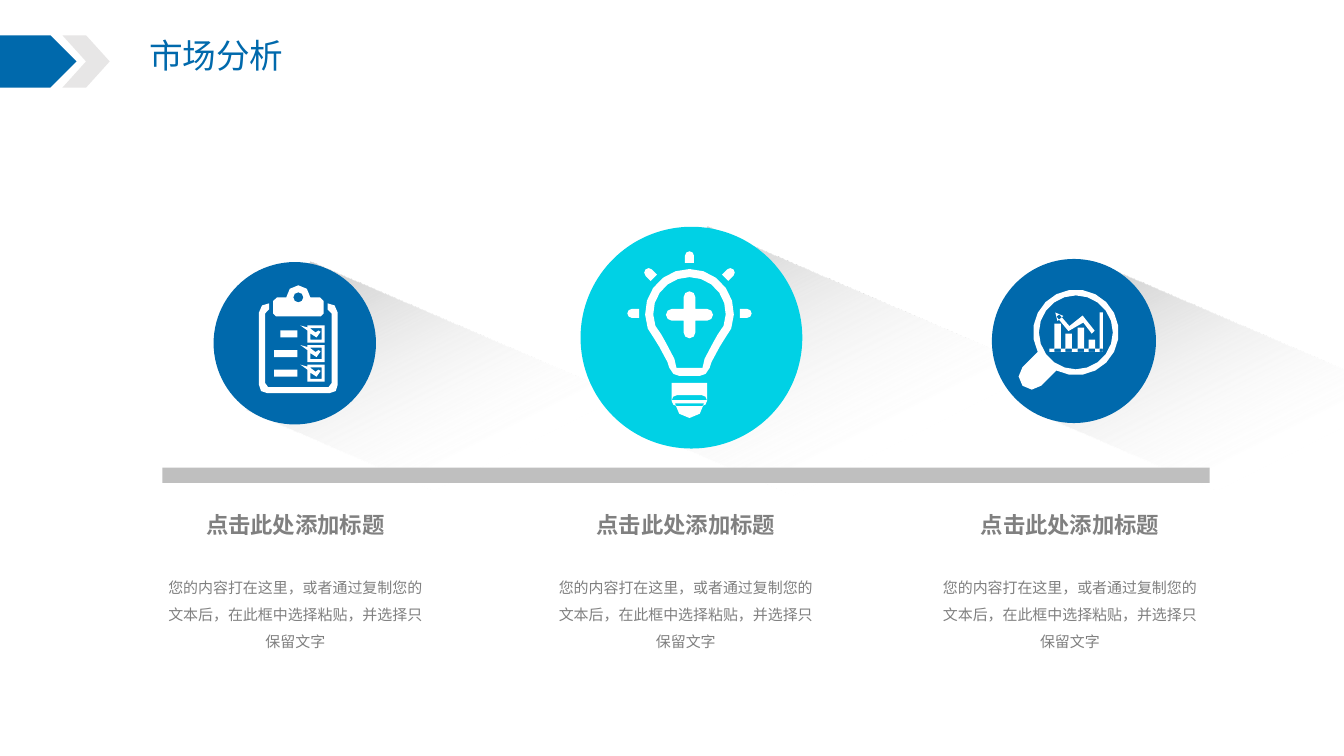
import math
import pptx
import pptx.dml.color
import pptx.enum.shapes
import pptx.enum.text
import pptx.oxml
import pptx.oxml.ns
import pptx.util

Pt = pptx.util.Pt
RGB = pptx.dml.color.RGBColor
SHAPES = pptx.enum.shapes.MSO_SHAPE
ALIGN = pptx.enum.text.PP_ALIGN
BLUE = RGB(0x00, 0x69, 0xAC)
CYAN = RGB(0x00, 0xD1, 0xE5)
WHITE = RGB(0xFF, 0xFF, 0xFF)
SILVER = RGB(0xBF, 0xBF, 0xBF)
PALE = RGB(0xE7, 0xE6, 0xE6)
GRAY = RGB(0x80, 0x80, 0x80)
FONT = "Noto Sans CJK SC"

TITLE = "市场分析"
HEADING = "点击此处添加标题"
BODY = "您的内容打在这里，或者通过复制您的文本后，在此框中选择粘贴，并选择只保留文字"

SHADOWS = [(743.8, 251.3, 115.2), (460.8, 224.6, 151.9), (185, 251.3, 115.2)]
DISCS = [(152.6, 187.2, 116, BLUE), (414.7, 162, 158.4, CYAN), (708.5, 185, 117.2, BLUE)]
COLUMN_CENTERS = [211, 489.9, 764.3]

CLIPBOARD_FRAME = [
    (234, 216.7), (239, 218.2), (241.2, 223.2), (241.2, 275), (239.8, 279.4),
    (235.4, 280.8), (190.8, 280.8), (186.5, 279.4), (185, 275), (185, 223.2),
    (187.2, 218.2), (192.2, 216.7), (192.2, 221), (189.4, 223.9), (189.4, 273.6),
    (191.5, 276.5), (234.7, 276.5), (236.9, 273.6), (236.9, 223.9), (234, 221)]
CLIP_BASE = [(228.5, 212.4), (231.1, 215), (231.1, 224), (229, 226.1),
             (197.3, 226.1), (195.1, 224), (195.1, 215), (198, 212.4)]
CHECKLIST = [(232.5, 200.2), (246.5, 195.8), (260.5, 195.8)]
TICK = [(221.8, 5.8), (226.1, 8.6), (229, 4.5), (227.5, 3.6), (225.4, 5), (221.8, 2.3)]
FLICK = [(219.6, 3.6), (219.6, 1.4), (214.6, 0)]

BULB_CENTER = (492.5, 223.9)
GLASS_OUTER = [(25.2, 18), (21.6, 23.8), (15.8, 34.6), (14.4, 38.9), (11.5, 43.2), (7.2, 44.7)]
GLASS_INNER = [(20.1, 15.1), (16.5, 21.6), (10.8, 32.4), (9.3, 38.9)]
RAY_ANGLES = [-180, -135, -90, -45, 0]

LENS = (768.5, 237.4)
BARS = [(753.1, 231.1), (761, 238.3), (769.7, 234), (777.6, 242.6)]
BARS_BOTTOM = 251.3
TREND = [(754.6, 226.1), (756.7, 224.6), (763.9, 232.9), (773.3, 225.4),
         (781.9, 236.2), (779.8, 238.3), (773.8, 230.4), (763.2, 236.5)]
NIB = [(753.8, 223.2), (759.6, 225.7), (755.3, 229.3)]


def arc(x, y, radius, start, end):
    steps = round((end - start) / (18 if radius > 20 else 45))
    angles = [math.radians(start + (end - start) * i / steps) for i in range(steps + 1)]
    return [(x + radius * math.cos(a), y + radius * math.sin(a)) for a in angles]


def box(x, y, w, h):
    return [(x, y), (x + w, y), (x + w, y + h), (x, y + h)]


def glass(radius, side):
    x, y = BULB_CENTER
    right = [(x + dx, y + dy) for dx, dy in side]
    left = [(x - dx, y + dy) for dx, dy in reversed(side)]
    return arc(x, y, radius, 160, 380) + right + left


def ray(angle, inner=36, outer=44.4, radius=3.2):
    x, y = BULB_CENTER
    a = math.radians(angle)
    cos, sin = math.cos(a), math.sin(a)
    reach = outer - radius
    base = [(x + inner * cos - s * radius * sin, y + inner * sin + s * radius * cos)
            for s in (1, -1)]
    return base + arc(x + reach * cos, y + reach * sin, radius, angle - 90, angle + 90)


def plus(x, y, reach=12.6, radius=4.2):
    outline = []
    for angle in (0, 90, 180, 270):
        a = math.radians(angle)
        outline += arc(x + reach * math.cos(a), y + reach * math.sin(a), radius,
                       angle - 90, angle + 90)
        corner = math.radians(angle + 45)
        diagonal = radius * math.sqrt(2)
        outline.append((x + diagonal * math.cos(corner), y + diagonal * math.sin(corner)))
    return outline


def clipboard():
    hump = (213.1, 212.4)
    contours = [CLIPBOARD_FRAME, arc(*hump, 8.6, 180, 360) + CLIP_BASE, arc(*hump, 3.6, 0, 360)]
    for top, dash_left in CHECKLIST:
        contours += [box(dash_left, top + 3.6, 212.4 - dash_left, 5),
                     box(219.6, top, 12.2, 12.2), box(221.8, top + 1.9, 7.9, 8.2)]
        contours += [[(x, top + y) for x, y in mark] for mark in (TICK, FLICK)]
    return contours


def bulb():
    x, y = BULB_CENTER
    band = arc(x + 8.6, 286.2, 4, -90, 90) + arc(x - 8.8, 286.2, 4, 90, 270)
    return [glass(31.7, GLASS_OUTER), glass(25.9, GLASS_INNER), plus(x, y + 1),
            box(x - 12.8, 273.6, 25.4, 12.2), band,
            arc(x, 288.2, 10.4, 0, 180)] + [ray(angle) for angle in RAY_ANGLES]


def magnifier():
    body = arc(*LENS, 30.6, 153, 477) + arc(737, 268.9, 9.4, 45, 225)
    bars = [box(x, top, 4.7, BARS_BOTTOM - top) for x, top in BARS]
    return [body, arc(*LENS, 26.4, 0, 360), TREND, NIB,
            box(785.5, 223.2, 2.2, 28.1), box(749.5, 249.1, 38.2, 2.2)] + bars


deck = pptx.Presentation()
deck.slide_width, deck.slide_height = Pt(960), Pt(540)
slide = deck.slides.add_slide(deck.slide_layouts[6])


def paint(shape, color):
    shape.shadow.inherit = False
    shape.fill.solid()
    shape.fill.fore_color.rgb = color
    shape.line.fill.background()


def add_shape(kind, x, y, w, h, color):
    shape = slide.shapes.add_shape(kind, Pt(x), Pt(y), Pt(w), Pt(h))
    paint(shape, color)
    return shape


def add_icon(contours):
    units = [[(x * 100, y * 100) for x, y in contour] for contour in contours]
    builder = slide.shapes.build_freeform(*units[0][0], scale=Pt(1) / 100)
    builder.add_line_segments(units[0][1:], close=True)
    for contour in units[1:]:
        builder.move_to(*contour[0])
        builder.add_line_segments(contour[1:], close=True)
    paint(builder.convert_to_shape(), WHITE)


def add_text(text, x, y, w, h, size, color, align=ALIGN.CENTER, wrap=True, bold=False, spacing=None):
    frame = slide.shapes.add_textbox(Pt(x), Pt(y), Pt(w), Pt(h)).text_frame
    frame.text = text
    frame.word_wrap = wrap
    frame.auto_size = pptx.enum.text.MSO_AUTO_SIZE.SHAPE_TO_FIT_TEXT
    paragraph = frame.paragraphs[0]
    paragraph.alignment = align
    paragraph.line_spacing = spacing
    font = paragraph.runs[0].font
    font.size, font.bold, font.name = Pt(size), bold, FONT
    font.color.rgb = color
    east_asian = pptx.oxml.parse_xml(
        f'<a:ea {pptx.oxml.ns.nsdecls("a")} typeface="{FONT}"/>')
    font._element.find(pptx.oxml.ns.qn("a:latin")).addnext(east_asian)


def add_long_shadow(x, y, h):
    shadow = add_shape(SHAPES.RECTANGLE, x, y, 349.2, h, SILVER)
    shadow.rotation = 23.3
    gradient = pptx.oxml.parse_xml(
        f'<a:gradFill {pptx.oxml.ns.nsdecls("a")} rotWithShape="1"><a:gsLst>'
        '<a:gs pos="0"><a:srgbClr val="23A9FF"><a:alpha val="54000"/></a:srgbClr></a:gs>'
        '<a:gs pos="0"><a:srgbClr val="BFBFBF"/></a:gs>'
        '<a:gs pos="54000"><a:srgbClr val="FFFFFF"><a:alpha val="0"/></a:srgbClr></a:gs>'
        '</a:gsLst><a:lin ang="2400000" scaled="0"/></a:gradFill>')
    solid = shadow._element.spPr.find(pptx.oxml.ns.qn("a:solidFill"))
    solid.getparent().replace(solid, gradient)


add_text(TITLE, 99.4, 21.6, 111.6, 36, 24, BLUE, align=ALIGN.LEFT, wrap=False)
add_shape(SHAPES.PENTAGON, 0, 25.2, 54.7, 37.4, BLUE)
add_shape(SHAPES.CHEVRON, 44.6, 25.2, 33.8, 37.4, PALE)
for shadow_place in SHADOWS:
    add_long_shadow(*shadow_place)
add_shape(SHAPES.RECTANGLE, 116, 334.1, 748, 10.8, SILVER)
for (left, top, diameter, color), icon in zip(DISCS, (clipboard, bulb, magnifier)):
    add_shape(SHAPES.OVAL, left, top, diameter, diameter, color)
    add_icon(icon())
for center in COLUMN_CENTERS:
    add_text(HEADING, center - 109, 361.4, 218, 26.6, 16, GRAY, bold=True)
    add_text(BODY, center - 102.6, 403.2, 205.2, 65.5, 10.7, GRAY, spacing=1.5)

deck.save("out.pptx")
